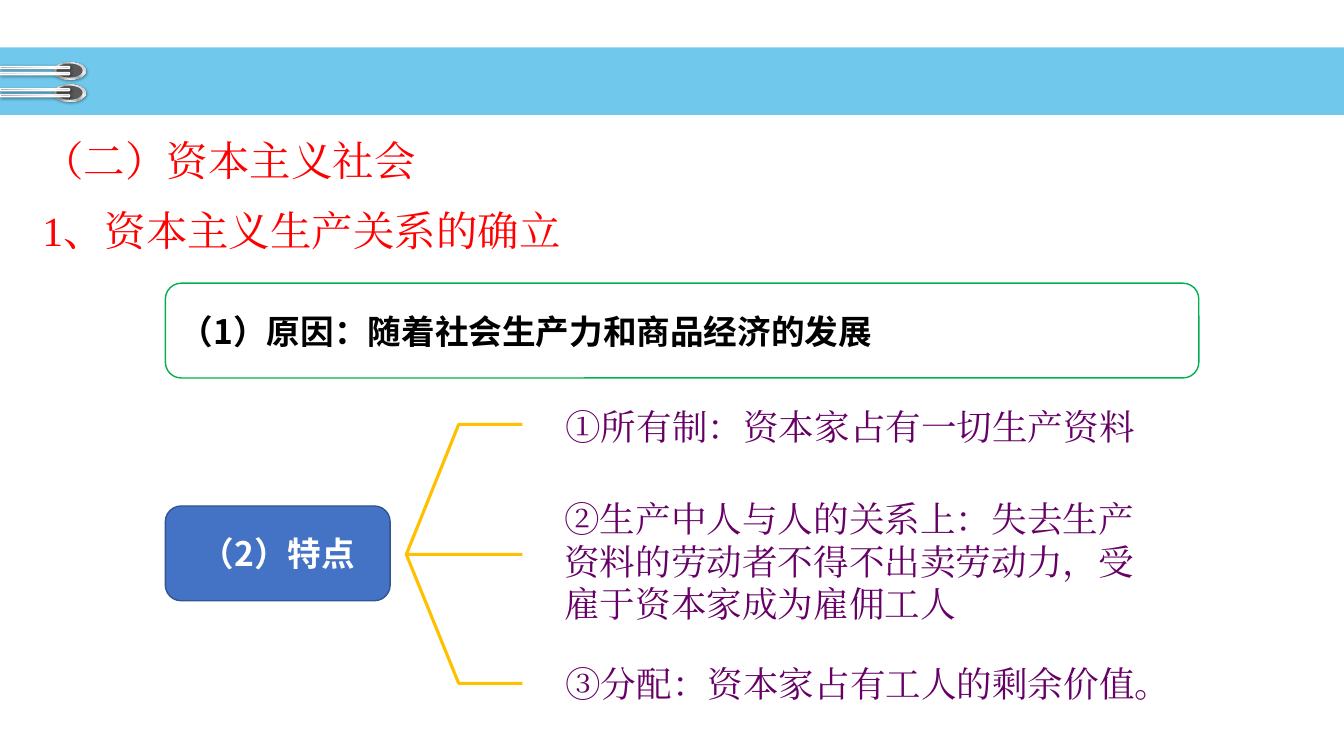
from lxml import etree
from pptx import Presentation
from pptx.dml.color import RGBColor
from pptx.enum.shapes import MSO_SHAPE
from pptx.enum.text import MSO_ANCHOR, MSO_AUTO_SIZE, PP_ALIGN
from pptx.oxml.ns import qn
from pptx.util import Inches, Pt

RECTANGLE, OVAL, ROUNDED = MSO_SHAPE.RECTANGLE, MSO_SHAPE.OVAL, MSO_SHAPE.ROUNDED_RECTANGLE
TOP, MIDDLE = MSO_ANCHOR.TOP, MSO_ANCHOR.MIDDLE
LEFT, CENTER = PP_ALIGN.LEFT, PP_ALIGN.CENTER
NO_AUTOFIT = MSO_AUTO_SIZE.NONE
TITLE_ONLY = 5

SERIF, SANS = "Times New Roman", "Noto Sans CJK SC"
COLORS = {
    "band": "36B2E6", "heading": "FF0000", "point": "660066", "bracket": "FFC000",
    "feature": "4472C4", "feature_line": "325491", "cause_line": "00B050",
    "white": "FFFFFF", "black": "000000", "hole": "595959",
}
RING_STOPS = [(0, "FFFFFF"), (17, "A6A6A6"), (35, "F2F2F2"),
              (55, "A6A6A6"), (75, "F2F2F2"), (100, "A6A6A6")]
ROD_STOPS = [(0, "808080"), (23, "A6A6A6"), (52, "D9D9D9"),
             (74, "FFFFFF"), (100, "A6A6A6")]


def color(name):
    """Return the named palette colour."""
    return RGBColor.from_string(COLORS[name])


def add_block(page, kind, place, fill=None, line=None, width=1):
    """Add a preset shape without shadow; place is left, top, width, height."""
    block = page.shapes.add_shape(kind, *map(Inches, place))
    block.shadow.inherit = False
    if fill:
        block.fill.solid()
        block.fill.fore_color.rgb = color(fill)
    if line:
        block.line.color.rgb = color(line)
        block.line.width = Pt(width)
    else:
        block.line.fill.background()
    return block


def add_alpha(parent, percent):
    """Make the colour element partly transparent."""
    etree.SubElement(parent, qn("a:alpha")).set("val", str(percent * 1000))


def add_metal(block, stops, angle):
    """Give a shape a many-stop gradient and a soft shadow."""
    properties = block._element.spPr
    gradient = etree.Element(qn("a:gradFill"), rotWithShape="1")
    stop_list = etree.SubElement(gradient, qn("a:gsLst"))
    for position, hex_color in stops:
        stop = etree.SubElement(stop_list, qn("a:gs"), pos=str(position * 1000))
        etree.SubElement(stop, qn("a:srgbClr"), val=hex_color)
    etree.SubElement(gradient, qn("a:lin"), ang=str(angle * 60000), scaled="0")
    properties.find(qn("a:prstGeom")).addnext(gradient)
    shadow = etree.SubElement(properties.find(qn("a:effectLst")), qn("a:outerShdw"),
                              blurRad=str(Pt(2)), dist=str(Pt(1)), dir="2700000")
    add_alpha(etree.SubElement(shadow, qn("a:srgbClr"), val=COLORS["black"]), 40)


def add_band(page):
    """Add the translucent header band."""
    band = add_block(page, RECTANGLE, (0, 0.47, 13.33, 0.67), "band")
    add_alpha(band._element.spPr.find(".//" + qn("a:srgbClr")), 70)


def add_binder_ring(page, middle):
    """Add one hole with its metal rim and two rods around height middle."""
    rim = add_block(page, OVAL, (0.53, middle - 0.08, 0.32, 0.17))
    add_metal(rim, RING_STOPS, 315)
    add_block(page, OVAL, (0.56, middle - 0.07, 0.26, 0.14), "hole")
    for offset in (0.03, -0.03):
        rod = add_block(page, ROUNDED, (0, middle + offset - 0.01, 0.69, 0.02),
                        line="white")
        rod.adjustments[0] = 0.5
        add_metal(rod, ROD_STOPS, 0)


def write(shape, lines, font, size, ink, bold=False, anchor=TOP, align=LEFT, gap=0):
    """Fill a shape with paragraphs in one style, gap points apart."""
    frame = shape.text_frame
    frame.word_wrap = True
    frame.auto_size = NO_AUTOFIT
    frame.vertical_anchor = anchor
    frame.text = "\n".join(lines)
    for number, para in enumerate(frame.paragraphs):
        para.alignment = align
        para.space_before = Pt(gap if number else 0)
        para.font.name = font
        para.font.size = Pt(size)
        para.font.bold = bold
        para.font.color.rgb = color(ink)
        defaults = para._p.pPr.find(qn("a:defRPr"))
        etree.SubElement(defaults, qn("a:ea"), typeface=font)


def add_heading(page):
    """Put the two heading lines into the title placeholder."""
    title = page.shapes.title
    title.left, title.top, title.width, title.height = map(Inches, (0.34, 1.3, 6.8, 1.33))
    frame = title.text_frame
    frame.margin_left = frame.margin_right = Inches(0.08)
    frame.margin_top = frame.margin_bottom = Inches(0.04)
    write(title, ["（二）资本主义社会", "1、资本主义生产关系的确立"],
          SERIF, 29.6, "heading", gap=14.8)


def add_path(page, points):
    """Draw an open bracket line through the points."""
    corners = [(Inches(x), Inches(y)) for x, y in points]
    builder = page.shapes.build_freeform(*corners[0], scale=1.0)
    builder.add_line_segments(corners[1:], close=False)
    path = builder.convert_to_shape()
    path.shadow.inherit = False
    path.fill.background()
    path.line.color.rgb = color("bracket")
    path.line.width = Pt(2.25)


def add_bracket(page):
    """Draw the three-armed bracket from the features box to the points."""
    tip, bend, end = 4.03, 4.55, 5.18
    upper, middle, lower = 4.21, 5.5, 6.78
    add_path(page, [(end, lower), (bend, lower), (tip, middle)])
    add_path(page, [(end, upper), (bend, upper), (tip, middle), (end, middle)])


def add_point(page, text, place):
    """Add one numbered point as a text box."""
    box = page.shapes.add_textbox(*map(Inches, place))
    write(box, [text], SERIF, 25.4, "point")


def main():
    """Build the slide and save it."""
    deck = Presentation()
    deck.slide_width, deck.slide_height = Inches(13.33), Inches(7.5)
    page = deck.slides.add_slide(deck.slide_layouts[TITLE_ONLY])

    add_band(page)
    for middle in (0.92, 0.7):
        add_binder_ring(page, middle)
    add_heading(page)
    add_bracket(page)

    add_point(page, "①所有制：资本家占有一切生产资料", (5.51, 3.97, 5.9, 0.53))
    add_point(page, "②生产中人与人的关系上：失去生产资料的劳动者不得不出卖劳动力，受雇于资本家成为雇佣工人",
              (5.5, 4.88, 6.1, 1.38))
    add_point(page, "③分配：资本家占有工人的剩余价值。", (5.51, 6.52, 6.37, 0.53))

    feature = add_block(page, ROUNDED, (1.64, 5.02, 2.23, 0.94), "feature", "feature_line")
    write(feature, ["（2）特点"], SANS, 24, "white", True, MIDDLE, CENTER)
    cause = add_block(page, ROUNDED, (1.64, 2.81, 10.25, 0.94), "white", "cause_line")
    write(cause, ["（1）原因：随着社会生产力和商品经济的发展"], SANS, 24, "black", True, MIDDLE)

    deck.save("out.pptx")


main()
